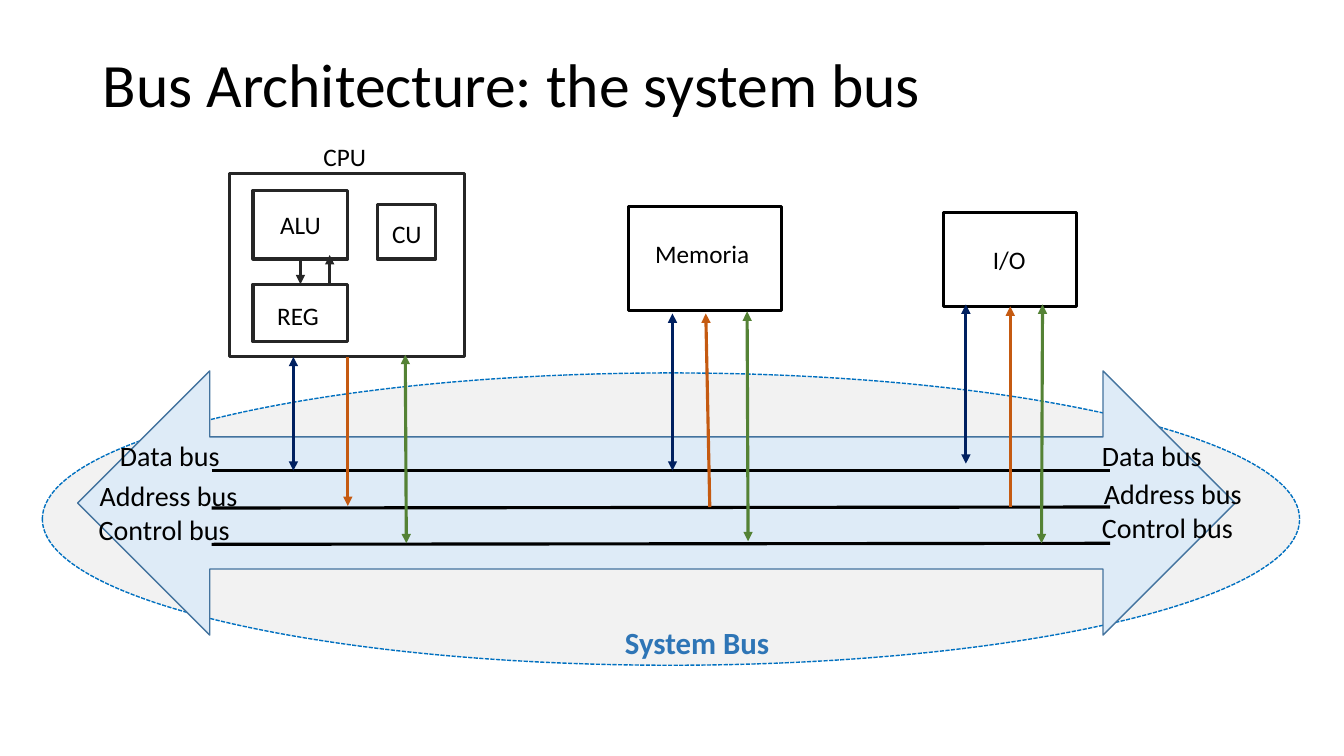
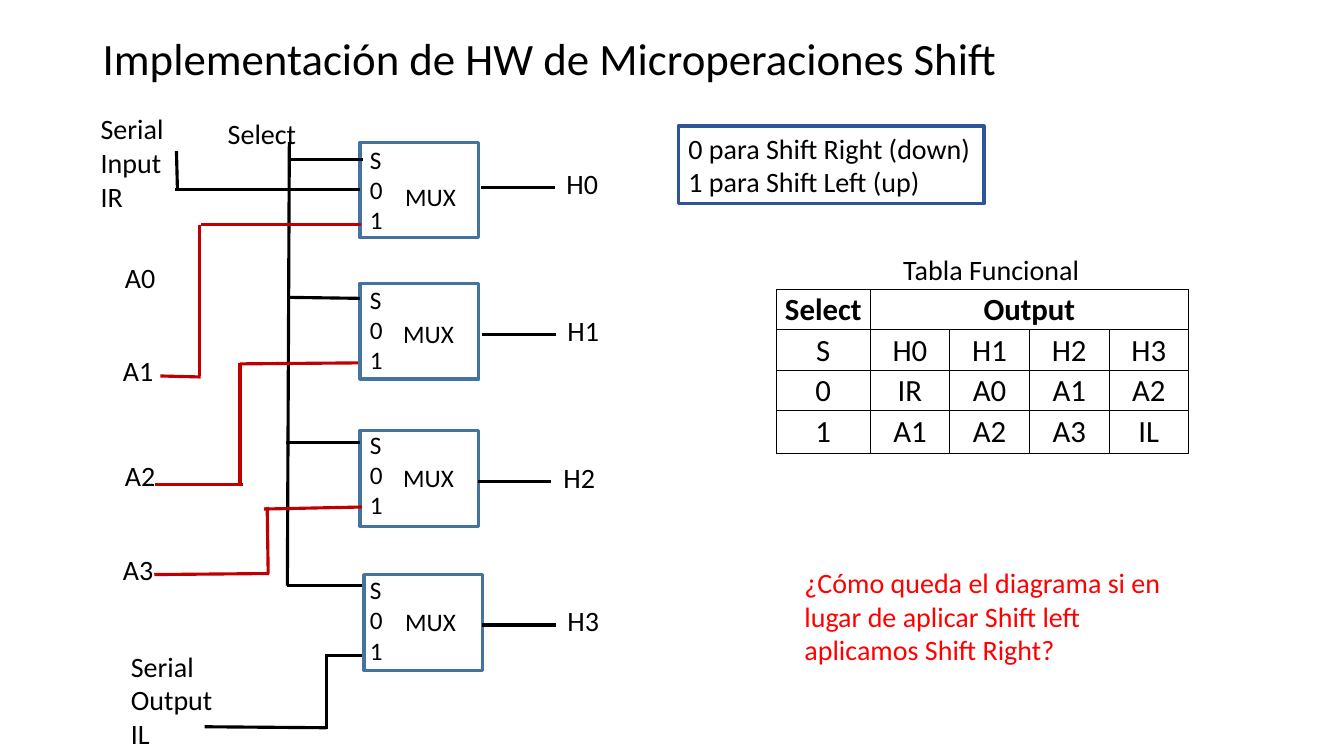
from pptx import Presentation
from pptx.dml.color import RGBColor
from pptx.enum.dml import MSO_LINE
from pptx.enum.shapes import MSO_CONNECTOR, MSO_SHAPE
from pptx.enum.text import MSO_ANCHOR, PP_ALIGN
from pptx.oxml.ns import qn
from pptx.util import Pt
from lxml.etree import SubElement

PX = 9144
FONT = "Calibri"
LINE_WIDTH = 2.25
BLACK = RGBColor(0x00, 0x00, 0x00)
WHITE = RGBColor(0xFF, 0xFF, 0xFF)
CHARCOAL = RGBColor(0x26, 0x26, 0x26)
PALE_GREY = RGBColor(0xF2, 0xF2, 0xF2)
PALE_BLUE = RGBColor(0xDE, 0xEB, 0xF7)
BRIGHT_BLUE = RGBColor(0x00, 0x70, 0xC0)
STEEL_BLUE = RGBColor(0x43, 0x73, 0x9E)
TITLE_BLUE = RGBColor(0x2E, 0x75, 0xB6)
NOTE_BLUE = RGBColor(0x2F, 0x55, 0x97)
NAVY = RGBColor(0x00, 0x20, 0x60)
ORANGE = RGBColor(0xC5, 0x5A, 0x11)
GREEN = RGBColor(0x54, 0x82, 0x35)
DARK_RED = RGBColor(0xC0, 0x00, 0x00)
RED = RGBColor(0xFF, 0x00, 0x00)


def write_text(shape, text, size, colour=BLACK, bold=False, wrap=False, anchor=MSO_ANCHOR.TOP):
    frame = shape.text_frame
    frame.text = text
    frame.word_wrap = wrap
    frame.vertical_anchor = anchor
    for paragraph in frame.paragraphs:
        paragraph.alignment = PP_ALIGN.LEFT
        for run in paragraph.runs:
            run.font.name = FONT
            run.font.size = Pt(size)
            run.font.bold = bold
            run.font.color.rgb = colour


def add_line(slide, start_x, start_y, end_x, end_y, colour=BLACK, arrows=()):
    ends = [value * PX for value in (start_x, start_y, end_x, end_y)]
    connector = slide.shapes.add_connector(MSO_CONNECTOR.STRAIGHT, *ends)
    connector.line.color.rgb = colour
    connector.line.width = Pt(LINE_WIDTH)
    properties = connector._element.spPr
    for arrow in arrows:
        SubElement(properties.find(qn("a:ln")), qn(f"a:{arrow}"), type="triangle")
    SubElement(properties, qn("a:effectLst"))


presentation = Presentation()
presentation.slide_width = 1333 * PX
presentation.slide_height = 750 * PX
blank = presentation.slide_layouts[6]
bus_slide = presentation.slides.add_slide(blank)
shift_slide = presentation.slides.add_slide(blank)

titles = [
    (bus_slide, (92, 40, 1150, 93), "Bus Architecture: the system bus", 44),
    (shift_slide, (92, 24, 1189, 74), "Implementación de HW de Microperaciones Shift", 32),
]
for slide, place, text, size in titles:
    title = slide.shapes.add_textbox(*[value * PX for value in place])
    write_text(title, text, size, wrap=True, anchor=MSO_ANCHOR.MIDDLE)
    title.text_frame.paragraphs[0].line_spacing = 0.9

muxes = [
    (357, 141, 138, 357, 392, 175),
    (357, 281, 277, 357, 390, 311),
    (357, 427, 421, 357, 390, 454),
    (361, 570, 565, 357, 392, 597),
]

outlines = [
    (bus_slide, MSO_SHAPE.OVAL, (42, 370, 1247, 290), PALE_GREY, BRIGHT_BLUE, 1),
    (bus_slide, MSO_SHAPE.RECTANGLE, (936, 211, 132, 93), None, BLACK, LINE_WIDTH),
    (bus_slide, MSO_SHAPE.RECTANGLE, (623, 205, 152, 103), None, BLACK, LINE_WIDTH),
    (bus_slide, MSO_SHAPE.LEFT_RIGHT_ARROW, (77, 368, 1148, 262), PALE_BLUE, STEEL_BLUE, 1),
    (shift_slide, MSO_SHAPE.RECTANGLE, (673, 125, 303, 77), WHITE, NOTE_BLUE, LINE_WIDTH),
]
for place in [(228, 172, 233, 182), (251, 189, 94, 68), (374, 203, 58, 54), (251, 282, 94, 57)]:
    outlines.append((bus_slide, MSO_SHAPE.RECTANGLE, place, None, CHARCOAL, LINE_WIDTH))
for left, top, *_ in muxes:
    place = (left, top, 118, 95)
    outlines.append((shift_slide, MSO_SHAPE.RECTANGLE, place, None, STEEL_BLUE, LINE_WIDTH))

for slide, preset, place, fill, colour, width in outlines:
    shape = slide.shapes.add_shape(preset, *[value * PX for value in place])
    shape.shadow.inherit = False
    if fill is None:
        shape.fill.background()
    else:
        shape.fill.solid()
        shape.fill.fore_color.rgb = fill
    shape.line.color.rgb = colour
    shape.line.width = Pt(width)
    if preset == MSO_SHAPE.OVAL:
        shape.line.dash_style = MSO_LINE.SQUARE_DOT
    if colour == NOTE_BLUE:
        note = "0 para Shift Right (down)\n1 para Shift Left (up)"
        write_text(shape, note, 20, anchor=MSO_ANCHOR.MIDDLE)

for start_y, end_y in [(467, 467), (504, 503), (540, 539)]:
    add_line(bus_slide, 210, start_y, 1101, end_y)

add_line(bus_slide, 327, 282, 327, 253, CHARCOAL, ["tailEnd"])
add_line(bus_slide, 298, 257, 298, 282, CHARCOAL, ["tailEnd"])

bus_arrows = [
    (NAVY, ["headEnd", "tailEnd"],
     [(291, 354, 291, 467), (667, 311, 667, 467), (958, 302, 958, 460)]),
    (ORANGE, ["tailEnd"],
     [(345, 354, 345, 502), (704, 503, 700, 311), (1002, 503, 1002, 304)]),
    (GREEN, ["headEnd", "tailEnd"],
     [(402, 352, 403, 539), (741, 309, 742, 537), (1034, 302, 1033, 539)]),
]
for colour, arrows, routes in bus_arrows:
    for route in routes:
        add_line(bus_slide, *route, colour, arrows)

labels = [
    (bus_slide, (975, 237, 53, 40), "I/O", 18),
    (bus_slide, (268, 203, 61, 40), "ALU", 18),
    (bus_slide, (379, 212, 50, 40), "CU", 18),
    (bus_slide, (265, 293, 62, 40), "REG", 18),
    (bus_slide, (311, 135, 63, 40), "CPU", 18),
    (bus_slide, (640, 232, 134, 40), "Memoria", 18),
    (shift_slide, (216, 111, 89, 44), "Select", 20),
    (shift_slide, (886, 246, 196, 44), "Tabla Funcional", 20),
]
bus_names = [
    ("Data bus", 120, (109, 430), (1083, 430)),
    ("Address bus", 158, (89, 470), (1085, 468)),
    ("Control bus", 151, (88, 504), (1083, 502)),
]
for name, width, *corners in bus_names:
    for left, top in corners:
        labels.append((bus_slide, (left, top, width, 44), name, 20))
for index, (left, top) in enumerate([(114, 254), (112, 346), (114, 450), (112, 543)]):
    labels.append((shift_slide, (left, top, 51, 44), f"A{index}", 20))
for left, top, pins_top, pins_left, name_left, name_top in muxes:
    labels.append((shift_slide, (pins_left, pins_top, 33, 101), "S\n0\n1", 18))
    labels.append((shift_slide, (name_left, name_top, 71, 40), "MUX", 18))
for index, (left, level) in enumerate([(477, 186), (478, 332), (474, 478), (478, 620)]):
    add_line(shift_slide, left, level, left + 73, level)
    labels.append((shift_slide, (left + 75, level - 26, 52, 44), f"H{index}", 20))

for slide, place, text, size in labels:
    write_text(slide.shapes.add_textbox(*[value * PX for value in place]), text, size)

system_bus = bus_slide.shapes.add_textbox(610 * PX, 614 * PX, 165 * PX, 47 * PX)
write_text(system_bus, "System Bus", 22, TITLE_BLUE, bold=True)

wrapped_labels = [
    ((90, 106, 107, 111), "Serial Input IR", BLACK),
    ((120, 639, 107, 111), "Serial Output IL", BLACK),
    ((788, 556, 393, 111),
     "¿Cómo queda el diagrama si en lugar de aplicar Shift left aplicamos Shift Right?", RED),
]
for place, text, colour in wrapped_labels:
    label = shift_slide.shapes.add_textbox(*[value * PX for value in place])
    write_text(label, text, 20, colour, wrap=True)

wires = [
    (BLACK, [
        (360, 158, 287, 158), (357, 296, 287, 295), (357, 439, 284, 439),
        (359, 581, 285, 581), (285, 581, 287, 141),
        (357, 188, 174, 188), (176, 188, 175, 150),
        (324, 722, 203, 721), (324, 723, 324, 649), (359, 650, 323, 650),
    ]),
    (DARK_RED, [
        (199, 374, 159, 373), (198, 373, 198, 223), (358, 223, 199, 223),
        (241, 481, 154, 481), (238, 481, 238, 360), (355, 360, 238, 361),
        (267, 569, 153, 570), (266, 569, 265, 503), (359, 503, 262, 505),
    ]),
]
for colour, routes in wires:
    for route in routes:
        add_line(shift_slide, *route, colour)

rows = [
    ["Select", "Output", "", "", ""],
    ["S", "H0", "H1", "H2", "H3"],
    ["0", "IR", "A0", "A1", "A2"],
    ["1", "A1", "A2", "A3", "IL"],
]
place = [value * PX for value in (770, 287, 410, 164)]
table = shift_slide.shapes.add_table(4, 5, *place).table
table.first_row = False
table.horz_banding = False
for column, width in zip(table.columns, [93, 79, 79, 79, 79]):
    column.width = width * PX
for row, height in zip(table.rows, [40, 40, 40, 43]):
    row.height = height * PX
table.cell(0, 1).merge(table.cell(0, 4))
for row_index, row in enumerate(rows):
    for column_index, text in enumerate(row):
        cell = table.cell(row_index, column_index)
        cell.margin_left = cell.margin_right = cell.margin_top = PX
        cell.margin_bottom = 0
        cell.vertical_anchor = MSO_ANCHOR.BOTTOM if row_index == 1 else MSO_ANCHOR.MIDDLE
        cell.text_frame.text = text
        paragraph = cell.text_frame.paragraphs[0]
        paragraph.alignment = PP_ALIGN.CENTER
        for run in paragraph.runs:
            run.font.name = FONT
            run.font.size = Pt(22)
            run.font.bold = row_index == 0
            run.font.color.rgb = BLACK
        properties = cell._tc.get_or_add_tcPr()
        for side in ("lnL", "lnR", "lnT", "lnB"):
            border = SubElement(properties, qn(f"a:{side}"), w=str(Pt(0.5)))
            border_fill = SubElement(border, qn("a:solidFill"))
            SubElement(border_fill, qn("a:srgbClr"), val=str(BLACK))
        cell.fill.background()

presentation.save("out.pptx")
